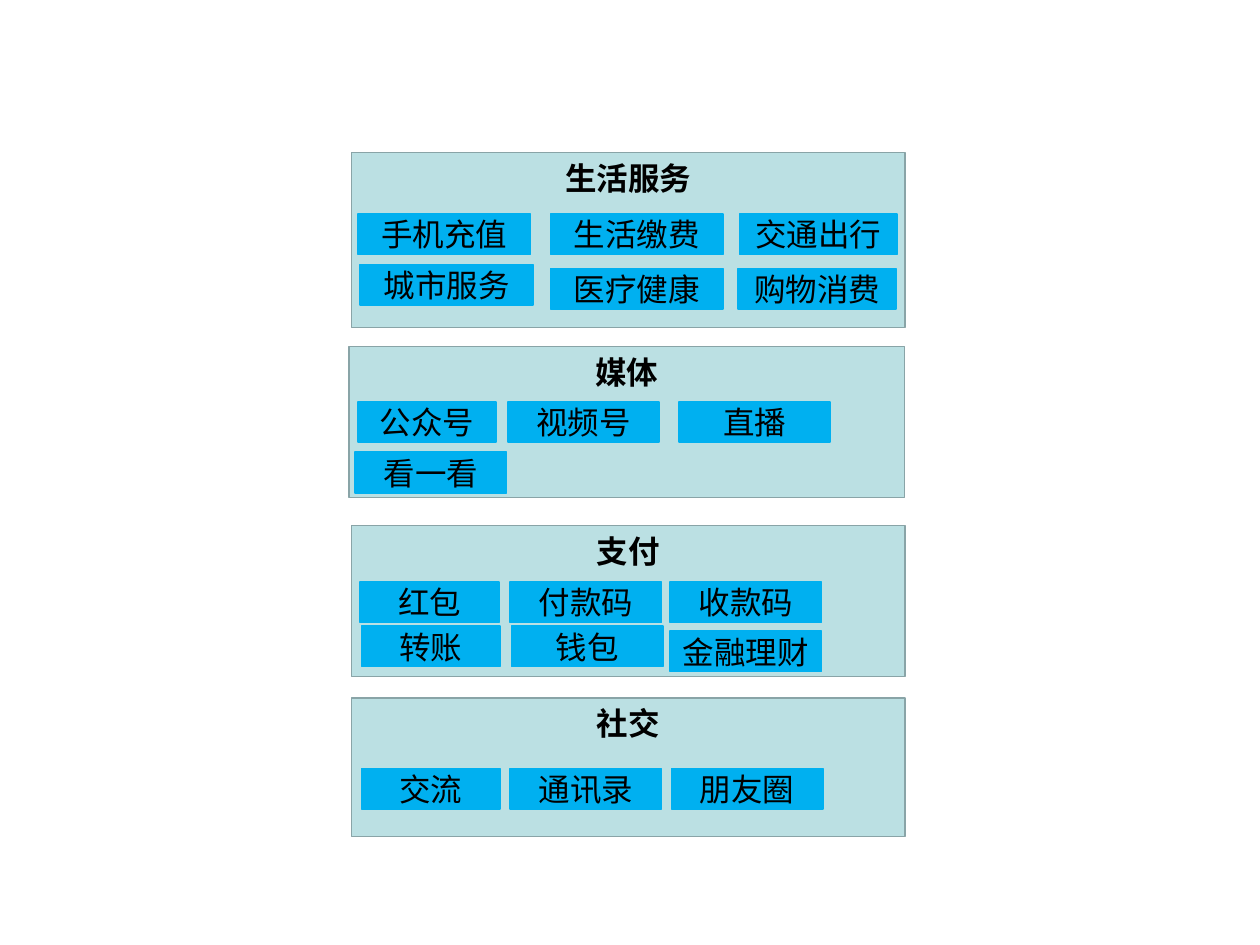
from dataclasses import dataclass

from pptx import Presentation
from pptx.dml.color import RGBColor
from pptx.enum.shapes import MSO_SHAPE
from pptx.enum.text import MSO_ANCHOR, PP_ALIGN
from pptx.util import Pt

EMU_PER_PX = 9144  # 100 px to the inch
RECTANGLE = MSO_SHAPE.RECTANGLE
TOP, MIDDLE = MSO_ANCHOR.TOP, MSO_ANCHOR.MIDDLE
CENTER = PP_ALIGN.CENTER

PANEL_FILL = RGBColor(0xBB, 0xE0, 0xE3)
PANEL_LINE = RGBColor(0x89, 0xA4, 0xA7)
FEATURE_BLUE = RGBColor(0x00, 0xB0, 0xF0)
BLACK = RGBColor(0x00, 0x00, 0x00)
FONT = "Arial"
FEATURE_HEIGHT = 32


@dataclass(frozen=True)
class Feature:
    label: str
    left: int
    top: int
    width: int = 120


@dataclass(frozen=True)
class Panel:
    title: str
    left: int
    top: int
    width: int
    height: int
    features: tuple[Feature, ...]


# Panels, from the bottom of the stack to the top
PANELS = (
    Panel("社交", 279, 554, 439, 110, (
        Feature("交流", 287, 610, 110),
        Feature("通讯录", 405, 610),
        Feature("朋友圈", 533, 610),
    )),
    Panel("支付", 279, 417, 439, 120, (
        Feature("红包", 286, 462, 110),
        Feature("付款码", 405, 462),
        Feature("收款码", 532, 462),
        Feature("转账", 287, 497, 110),
        Feature("钱包", 406, 497),
        Feature("金融理财", 532, 501),
    )),
    Panel("媒体", 277, 275, 441, 120, (
        Feature("公众号", 284, 319, 110),
        Feature("视频号", 403, 319),
        Feature("直播", 539, 319),
        Feature("看一看", 282, 359),
    )),
    Panel("生活服务", 279, 121, 439, 139, (
        Feature("手机充值", 284, 170, 137),
        Feature("生活缴费", 437, 170, 137),
        Feature("交通出行", 587, 170, 125),
        Feature("城市服务", 286, 210, 137),
        Feature("医疗健康", 437, 213, 137),
        Feature("购物消费", 586, 213, 125),
    )),
)


def px(length: int) -> int:
    return length * EMU_PER_PX


def add_box(page, text: str, left: int, top: int, width: int, height: int,
            fill: RGBColor, line: RGBColor, anchor: MSO_ANCHOR, bold: bool) -> None:
    box = page.shapes.add_shape(RECTANGLE, px(left), px(top), px(width), px(height))
    box.shadow.inherit = False
    box.fill.solid()
    box.fill.fore_color.rgb = fill
    box.line.color.rgb = line
    box.line.width = Pt(1)
    frame = box.text_frame
    frame.word_wrap = False
    frame.vertical_anchor = anchor
    para = frame.paragraphs[0]
    para.text = text
    para.alignment = CENTER
    para.font.name = FONT
    para.font.size = Pt(18)
    para.font.bold = bold
    para.font.color.rgb = BLACK


def draw_panel(page, panel: Panel) -> None:
    add_box(page, panel.title, panel.left, panel.top, panel.width, panel.height,
            PANEL_FILL, PANEL_LINE, TOP, True)
    for feature in panel.features:
        add_box(page, feature.label, feature.left, feature.top, feature.width,
                FEATURE_HEIGHT, FEATURE_BLUE, FEATURE_BLUE, MIDDLE, False)


def main() -> None:
    deck = Presentation()
    deck.slide_width, deck.slide_height = px(1000), px(750)
    page = deck.slides.add_slide(deck.slide_layouts[6])
    for panel in PANELS:
        draw_panel(page, panel)
    deck.save("out.pptx")


if __name__ == "__main__":
    main()
